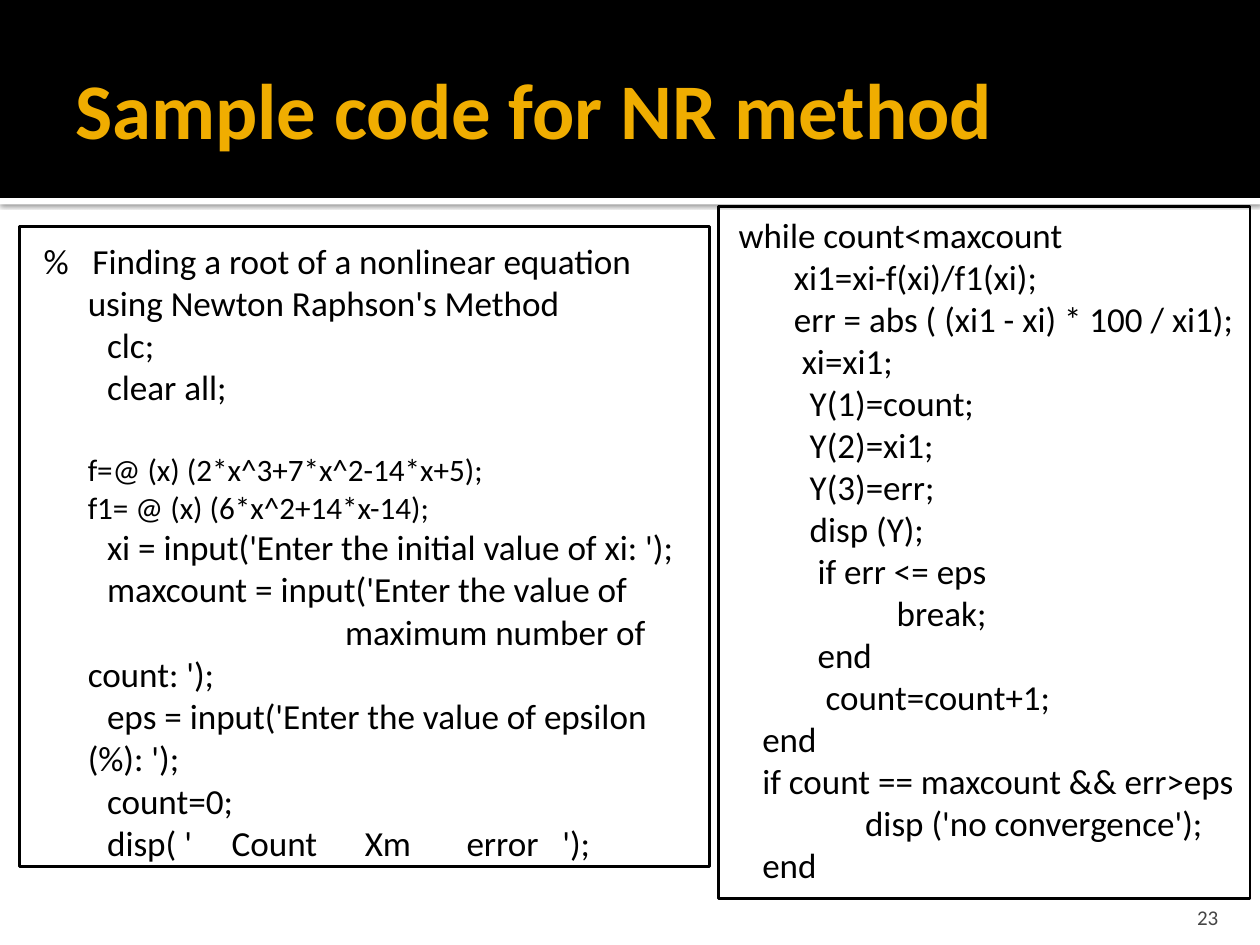
from lxml import etree
from pptx import Presentation
from pptx.dml.color import RGBColor
from pptx.enum.shapes import MSO_SHAPE
from pptx.enum.text import MSO_ANCHOR, MSO_AUTO_SIZE, PP_ALIGN
from pptx.oxml.ns import qn
from pptx.util import Cm, Pt

RECTANGLE = MSO_SHAPE.RECTANGLE
TOP, MIDDLE, BOTTOM = MSO_ANCHOR.TOP, MSO_ANCHOR.MIDDLE, MSO_ANCHOR.BOTTOM
LEFT, RIGHT = PP_ALIGN.LEFT, PP_ALIGN.RIGHT
NO_FIT = MSO_AUTO_SIZE.NONE

BLACK = RGBColor(0x00, 0x00, 0x00)
WHITE = RGBColor(0xFF, 0xFF, 0xFF)
AMBER = RGBColor(0xF0, 0xAD, 0x00)
GREY = RGBColor(0x45, 0x45, 0x45)
FONT = "Calibri"

CODE_SIZE, FUNCTION_SIZE = 20.1, 17.8
BLANK_LINE = 24.5

# Each line: text, size, space before
SETUP_CODE = [
    ("%   Finding a root of a nonlinear equation using Newton Raphson's Method", CODE_SIZE, 0),
    ("        clc;", CODE_SIZE, 0),
    ("        clear all;", CODE_SIZE, 0),
    ("\tf=@ (x) (2*x^3+7*x^2-14*x+5);", FUNCTION_SIZE, BLANK_LINE),
    ("    \tf1= @ (x) (6*x^2+14*x-14);", FUNCTION_SIZE, 0),
    ("        xi = input('Enter the initial value of xi: ');", CODE_SIZE, 0),
    ("        maxcount = input('Enter the value of", CODE_SIZE, 0),
    ("                                      maximum number of count: ');", CODE_SIZE, 0),
    ("        eps = input('Enter the value of epsilon (%): ');", CODE_SIZE, 0),
    ("        count=0;", CODE_SIZE, 0),
    ("        disp( '     Count      Xm       error   ');", CODE_SIZE, 0),
]
LOOP_CODE = [(line, 20, 0) for line in (
    " while count<maxcount",
    "        xi1=xi-f(xi)/f1(xi);",
    "        err = abs ( (xi1 - xi) * 100 / xi1);",
    "         xi=xi1;",
    "          Y(1)=count;",
    "          Y(2)=xi1;",
    "          Y(3)=err;",
    "          disp (Y);",
    "           if err <= eps",
    "                     break;",
    "           end",
    "            count=count+1;",
    "    end",
    "    if count == maxcount && err>eps",
    "                 disp ('no convergence');",
    "    end",
)]


def setup_frame(tf, anchor, insets):
    tf.word_wrap = True
    tf.auto_size = NO_FIT
    tf.vertical_anchor = anchor
    tf.margin_left, tf.margin_top, tf.margin_right, tf.margin_bottom = map(Cm, insets)


def add_run(p, text, size, color, bold=False):
    r = p.add_run()
    r.text = text
    r.font.name = FONT
    r.font.size = Pt(size)
    r.font.bold = bold
    r.font.color.rgb = color


def add_rectangle(s, box):
    sp = s.shapes.add_shape(RECTANGLE, *map(Cm, box))
    sp.shadow.inherit = False
    return sp


def add_band(s, box, color):
    """Place a plain band behind the title."""
    sp = add_rectangle(s, box)
    sp.fill.solid()
    sp.fill.fore_color.rgb = color
    sp.line.fill.background()
    s.shapes.title.element.addprevious(sp.element)
    return sp


def add_soft_shadow(sp):
    effects = sp.element.spPr.find(qn("a:effectLst"))
    shadow = etree.SubElement(effects, qn("a:outerShdw"), blurRad=str(Pt(2.5)),
                              dist=str(Pt(0.8)), dir="5400000", rotWithShape="0")
    color = etree.SubElement(shadow, qn("a:srgbClr"), val=str(BLACK))
    etree.SubElement(color, qn("a:alpha"), val="60000")


def add_header(s, box, text):
    left, top, width, height = box
    rule = add_band(s, (left, top + height, width, 0.13), WHITE)
    add_soft_shadow(rule)
    add_band(s, box, BLACK)

    title = s.shapes.title
    title.left, title.top = Cm(left + 1.27), Cm(top + 0.43)
    title.width, title.height = Cm(width - 2.54), Cm(3.48)
    setup_frame(title.text_frame, MIDDLE, (0.25, 0.13, 0.13, 0.13))
    p = title.text_frame.paragraphs[0]
    p.alignment = LEFT
    add_run(p, text, 45, AMBER, bold=True)


def add_code_box(s, box, lines, insets, margin=0, indent=0):
    """Place an outlined listing; margin and indent shape its hanging lines."""
    sp = add_rectangle(s, box)
    sp.fill.background()
    sp.line.color.rgb = BLACK
    sp.line.width = Pt(1.5)
    tf = sp.text_frame
    setup_frame(tf, TOP, insets)
    for i, (text, size, space) in enumerate(lines):
        p = tf.add_paragraph() if i else tf.paragraphs[0]
        p.alignment = LEFT
        pPr = p._p.get_or_add_pPr()
        pPr.set("marL", str(Cm(margin)))
        pPr.set("indent", str(Cm(indent)))
        if space:
            p.space_before = Pt(space)
        add_run(p, text, size, BLACK)


def add_page_number(s, box, number):
    tf = s.shapes.add_textbox(*map(Cm, box)).text_frame
    setup_frame(tf, BOTTOM, (0.25, 0.13, 0.25, 0))
    p = tf.paragraphs[0]
    p.alignment = RIGHT
    add_run(p, number, 12, GREY)


def main():
    prs = Presentation()
    prs.slide_width, prs.slide_height = Cm(25.4), Cm(19.05)
    s = prs.slides.add_slide(prs.slide_layouts.get_by_name("Title Only"))
    add_header(s, (0, 0, 25.4, 3.99), "Sample code for NR method")
    add_code_box(s, (0.4, 4.57, 13.9, 12.9), SETUP_CODE,
                 (0.15, 0.25, 0.25, 0.13), margin=1.22, indent=-0.89)
    add_page_number(s, (22.78, 17.98, 2.03, 0.76), "23")
    add_code_box(s, (14.48, 4.17, 10.72, 13.94), LOOP_CODE,
                 (0.25, 0.13, 0.25, 0.13))
    prs.save("out.pptx")


if __name__ == "__main__":
    main()
